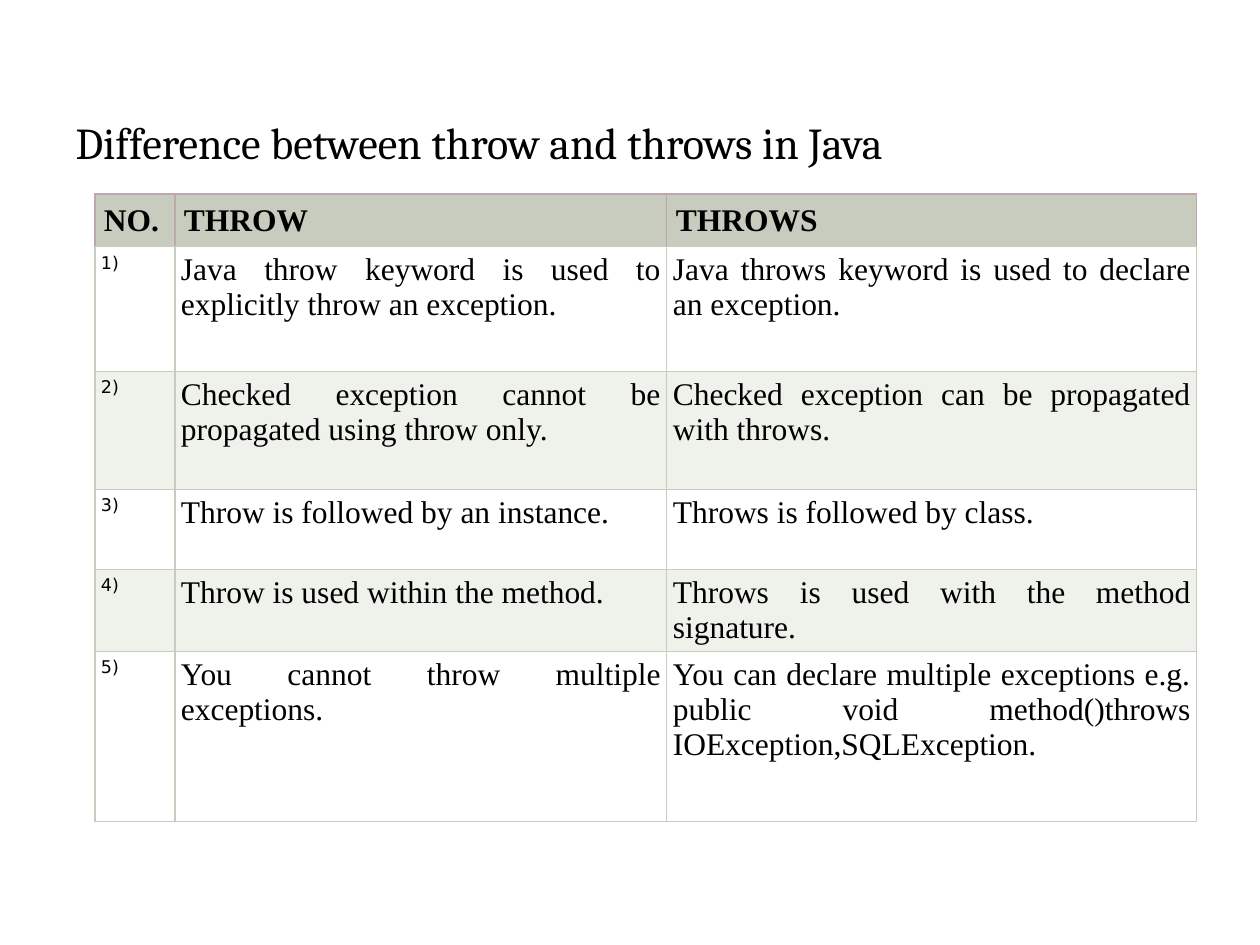
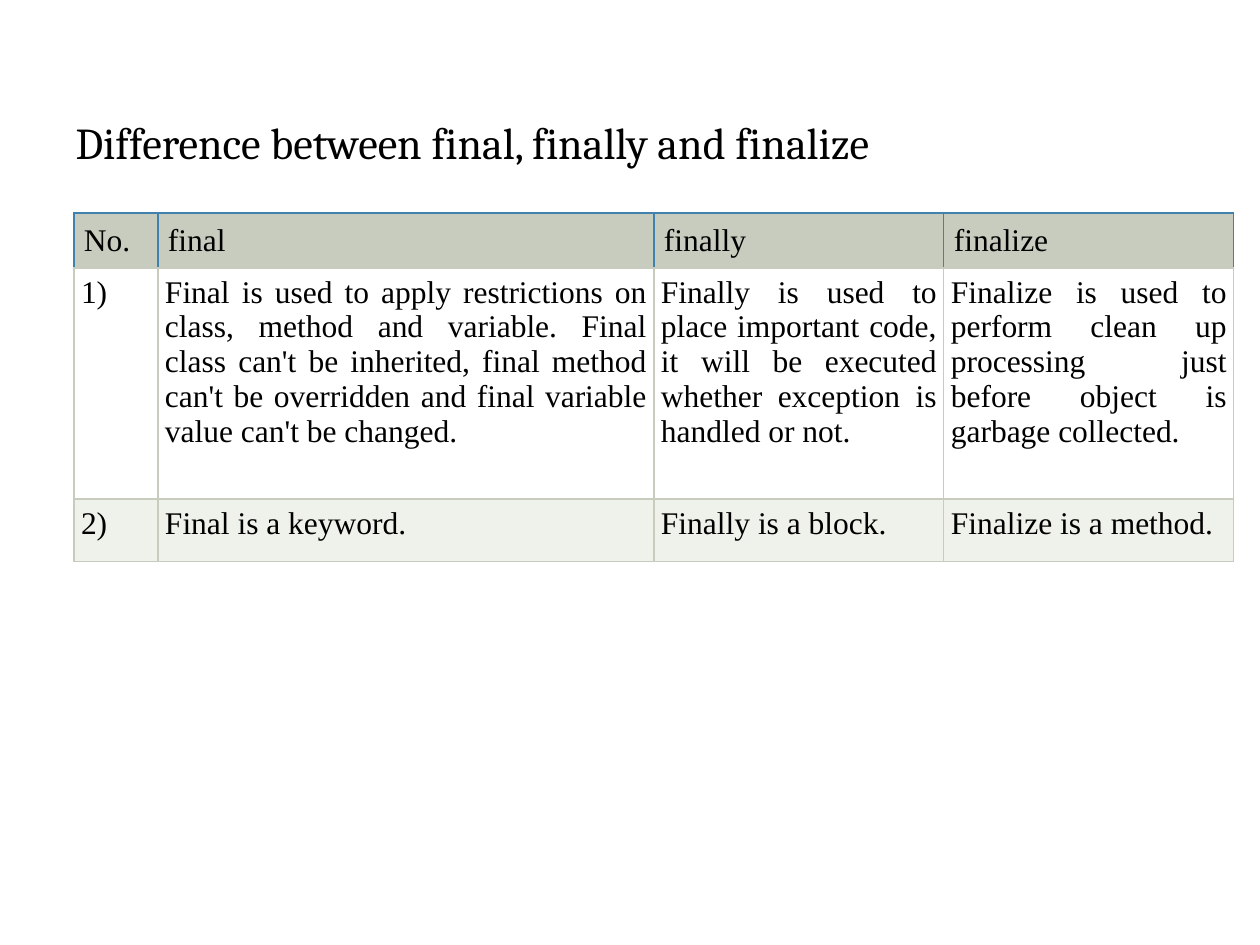
from pptx import Presentation
from pptx.dml.color import RGBColor
from pptx.enum import text
from pptx.oxml import parse_xml
from pptx.oxml.ns import nsdecls
from pptx.util import Pt

SCALE = 914400 // 126
INK, HEAD, WHITE, BAND = "000000", "C7CCBE", "FFFFFF", "EFF1EB"
SERIF, SANS, TITLE = "Times New Roman", "DejaVu Sans", "Cambria"
LEFT, JUST = text.PP_ALIGN.LEFT, text.PP_ALIGN.JUSTIFY


def px(n):
    return n * SCALE


def rgb(code):
    return RGBColor.from_string(code)


def write(frame, words, font=SERIF, size=18, bold=False, align=LEFT):
    para = frame.paragraphs[0]
    para.text = words
    para.alignment = align
    for run in para.runs:
        run.font.name = font
        run.font.size = Pt(size)
        run.font.bold = bold
        run.font.color.rgb = rgb(INK)


def title(slide, words):
    box = slide.shapes.title
    box.left, box.top, box.width, box.height = map(px, (63, 105, 1134, 126))
    frame = box.text_frame
    frame.auto_size = text.MSO_AUTO_SIZE.NONE
    frame.vertical_anchor = text.MSO_ANCHOR.TOP
    frame.margin_top = px(10)
    write(frame, words, font=TITLE, size=25.2)


def border(cell, edge):
    props = cell._tc.get_or_add_tcPr()
    for side, code in zip("LRTB", (edge, edge, edge, HEAD)):
        props.append(parse_xml(
            f'<a:ln{side} {nsdecls("a")} w="9525"><a:solidFill>'
            f'<a:srgbClr val="{code}"/></a:solidFill></a:ln{side}>'))


def fill(cell, code, edge, pad):
    border(cell, edge)
    cell.fill.solid()
    cell.fill.fore_color.rgb = rgb(code)
    cell.margin_left = cell.margin_right = px(pad)
    cell.margin_top = cell.margin_bottom = px(pad)
    cell.vertical_anchor = text.MSO_ANCHOR.TOP


def grid(slide, left, top, cols, rows, data, edge, pads, bold=False, mark=None):
    frame = slide.shapes.add_table(len(rows), len(cols), px(left), px(top),
                                   px(sum(cols)), px(sum(rows)))
    table = frame.table
    table.first_row = table.horz_banding = False
    for col, width in zip(table.columns, cols):
        col.width = px(width)
    for row, high in zip(table.rows, rows):
        row.height = px(high)
    for r, line in enumerate(data):
        for c, words in enumerate(line):
            cell = table.cell(r, c)
            if r == 0:
                fill(cell, HEAD, edge, pads[0])
                write(cell.text_frame, words, bold=bold)
            else:
                fill(cell, WHITE if r % 2 else BAND, HEAD, pads[1])
                look = mark if mark and c == 0 else {}
                write(cell.text_frame, words, align=JUST, **look)


def throws(slide):
    title(slide, "Difference between throw and throws in Java")
    data = [
        ("NO.", "THROW", "THROWS"),
        ("1)", "Java throw keyword is used to explicitly throw an exception.",
         "Java throws keyword is used to declare an exception."),
        ("2)", "Checked exception cannot be propagated using throw only.",
         "Checked exception can be propagated with throws."),
        ("3)", "Throw is followed by an instance.",
         "Throws is followed by class."),
        ("4)", "Throw is used within the method.",
         "Throws is used with the method signature."),
        ("5)", "You cannot throw multiple exceptions.",
         "You can declare multiple exceptions e.g.\v"
         "public void method()throws IOException,SQLException."),
    ]
    grid(slide, 95, 194, (80, 492, 530), (52, 125, 118, 80, 81, 170), data,
         edge="C0A7AD", pads=(9, 6), bold=True,
         mark={"font": SANS, "size": 10})


def finals(slide):
    title(slide, "Difference between final, finally and finalize")
    data = [
        ("No.", "final", "finally", "finalize"),
        ("1)", "Final is used to apply restrictions on class, method and "
         "variable. Final class can't be inherited, final method can't be "
         "overridden and final variable value can't be changed.",
         "Finally is used to place important code, it will be executed "
         "whether exception is handled or not.",
         "Finalize is used to perform clean up processing just before "
         "object is garbage collected."),
        ("2)", "Final is a keyword.", "Finally is a block.",
         "Finalize is a method."),
    ]
    grid(slide, 74, 213, (84, 496, 290, 290), (55, 231, 63), data,
         edge="4081AD", pads=(10, 7))


def main():
    deck = Presentation()
    deck.slide_width, deck.slide_height = px(1260), px(945)
    for draw in (throws, finals):
        draw(deck.slides.add_slide(deck.slide_layouts[5]))
    deck.save("out.pptx")


if __name__ == "__main__":
    main()
